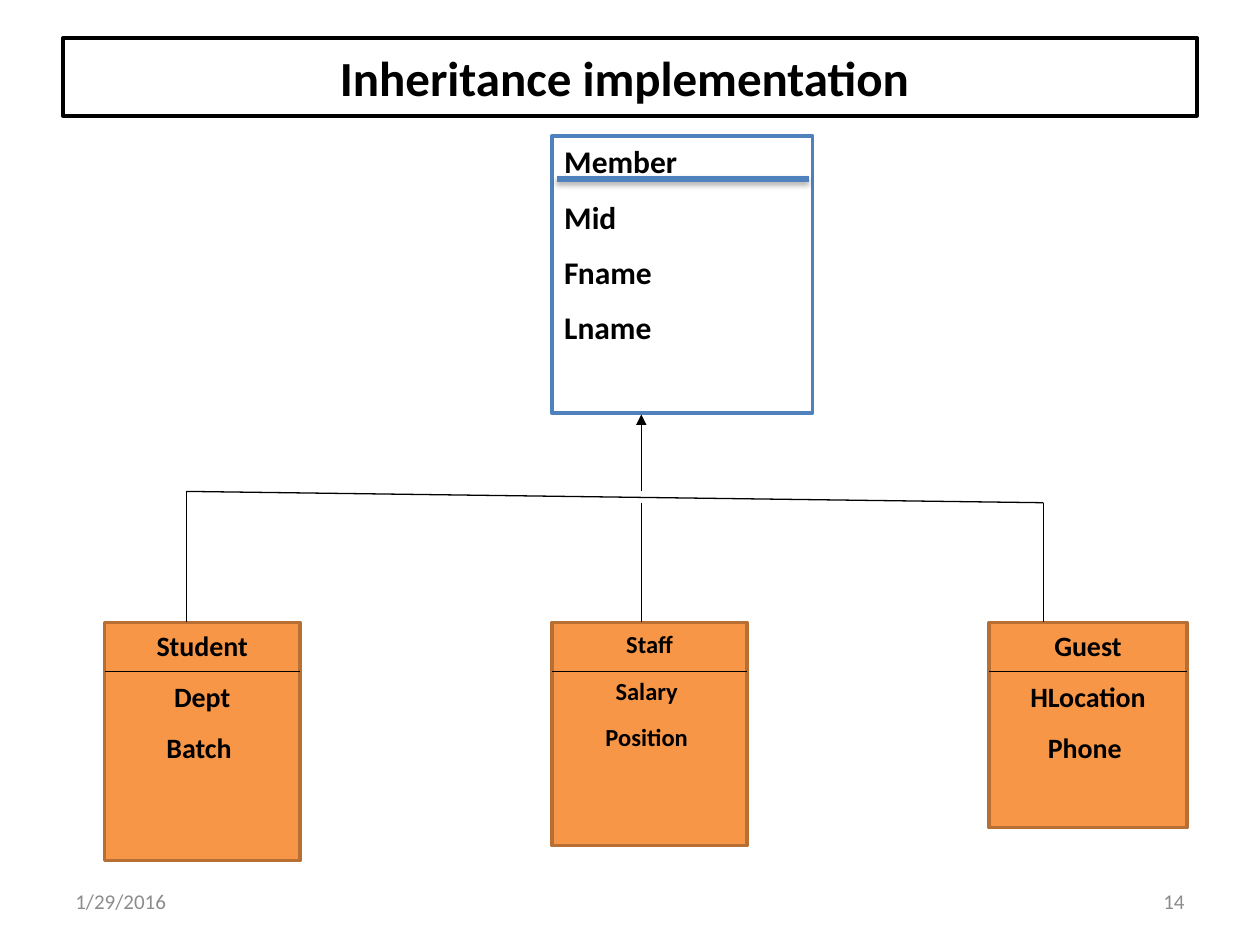
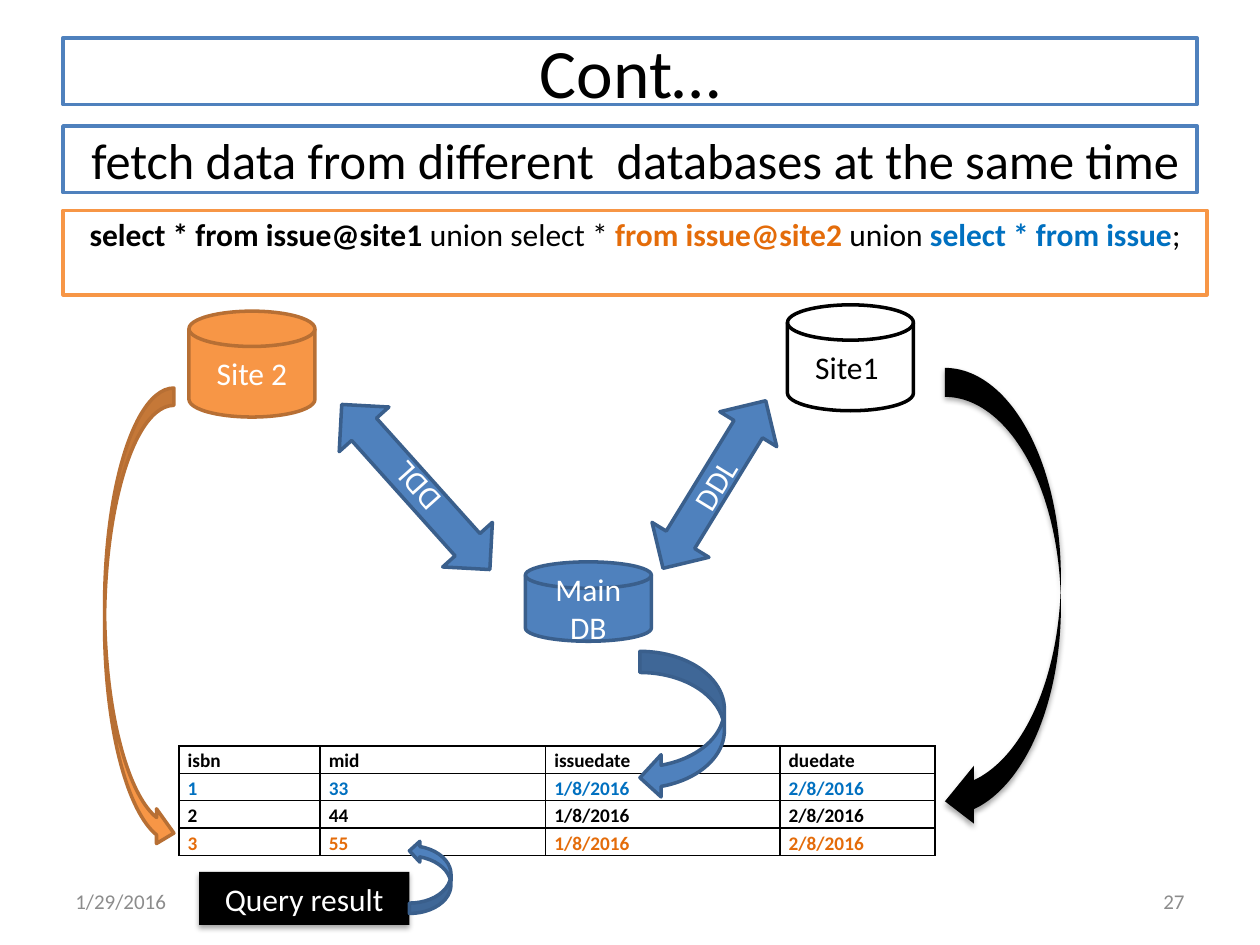
from dataclasses import dataclass

from lxml import etree
from pptx import Presentation
from pptx.dml.color import RGBColor
from pptx.enum.shapes import MSO_CONNECTOR, MSO_SHAPE
from pptx.enum.text import MSO_ANCHOR, PP_ALIGN
from pptx.oxml.ns import qn
from pptx.util import Inches, Pt

RECTANGLE = MSO_SHAPE.RECTANGLE
DISK = MSO_SHAPE.FLOWCHART_MAGNETIC_DISK
DOUBLE_ARROW = MSO_SHAPE.LEFT_RIGHT_ARROW
CURVED_ARROW = MSO_SHAPE.CURVED_RIGHT_ARROW
STRAIGHT = MSO_CONNECTOR.STRAIGHT
LEFT, CENTER, RIGHT = PP_ALIGN.LEFT, PP_ALIGN.CENTER, PP_ALIGN.RIGHT
TOP, MIDDLE = MSO_ANCHOR.TOP, MSO_ANCHOR.MIDDLE


@dataclass(frozen=True)
class Theme:
    font: str = "Calibri"
    black: str = "000000"
    white: str = "FFFFFF"
    grey: str = "8C8C8C"
    blue: str = "4F81BD"
    dark_blue: str = "3A5F8C"
    orange: str = "F79646"
    dark_orange: str = "B76F34"
    blue_text: str = "0070C0"
    orange_text: str = "E46C0A"
    title: float = 28
    big_title: float = 39.6
    subtitle: float = 28.8
    body: float = 18
    entity: float = 16
    small_entity: float = 14
    footer: float = 12
    cell: float = 11
    outline: float = 2
    thin: float = 0.75


THEME = Theme()


@dataclass(frozen=True)
class Place:
    left: float
    top: float
    width: float
    height: float

    def lengths(self) -> list:
        return [Inches(n) for n in (self.left, self.top, self.width, self.height)]


@dataclass(frozen=True)
class Look:
    fill: str
    line: str | None
    text: str


WHITE_BLACK = Look(THEME.white, THEME.black, THEME.black)
WHITE_BLUE = Look(THEME.white, THEME.blue, THEME.black)
WHITE_ORANGE = Look(THEME.white, THEME.orange, THEME.black)
ORANGE_ENTITY = Look(THEME.orange, THEME.dark_orange, THEME.black)
ORANGE_SOLID = Look(THEME.orange, THEME.dark_orange, THEME.white)
BLUE_SOLID = Look(THEME.blue, THEME.dark_blue, THEME.white)
BLACK_SOLID = Look(THEME.black, None, THEME.white)


@dataclass(frozen=True)
class Entity:
    place: Place
    lines: tuple
    size: float


@dataclass(frozen=True)
class Span:
    text: str
    color: str = THEME.black
    bold: bool = False


@dataclass(frozen=True)
class Node:
    kind: int
    place: Place
    text: str
    look: Look
    rotation: float = 0


@dataclass(frozen=True)
class Curve:
    place: Place
    look: Look
    flips: tuple = ()
    shadow: bool = False


def color(value: str) -> RGBColor:
    return RGBColor.from_string(value)


def style_font(font, size: float, value: str, bold: bool = False) -> None:
    font.name = THEME.font
    font.size = Pt(size)
    font.bold = bold
    font.color.rgb = color(value)


def set_effects(item, shadow: bool = False) -> None:
    properties = item.element.spPr
    for old in properties.findall(qn("a:effectLst")):
        properties.remove(old)
    effects = etree.SubElement(properties, qn("a:effectLst"))
    if shadow:
        outer = etree.SubElement(effects, qn("a:outerShdw"), blurRad=str(Pt(3.1)),
                                 dist=str(Pt(1.8)), dir="5400000", rotWithShape="0")
        shade = etree.SubElement(outer, qn("a:srgbClr"), val=THEME.black)
        etree.SubElement(shade, qn("a:alpha"), val="35000")


def write(box, lines: tuple, size: float, value: str, align=CENTER, anchor=MIDDLE,
          bold: bool = False, space_after: float = 0) -> None:
    frame = box.text_frame
    frame.word_wrap = True
    frame.vertical_anchor = anchor
    for index, line in enumerate(lines):
        para = frame.add_paragraph() if index else frame.paragraphs[0]
        para.text = line
        para.alignment = align
        para.space_after = Pt(space_after)
        style_font(para.font, size, value, bold)


def add_box(page, kind: int, place: Place, look: Look, shadow: bool = False):
    box = page.shapes.add_shape(kind, *place.lengths())
    box.fill.solid()
    box.fill.fore_color.rgb = color(look.fill)
    if look.line:
        box.line.color.rgb = color(look.line)
        box.line.width = Pt(THEME.outline)
    else:
        box.line.fill.background()
    set_effects(box, shadow)
    return box


def add_line(page, start: tuple, end: tuple, value: str = THEME.black,
             width: float = THEME.thin, arrow: bool = False, shadow: bool = False) -> None:
    line = page.shapes.add_connector(STRAIGHT, *[Inches(n) for n in start + end])
    line.line.color.rgb = color(value)
    line.line.width = Pt(width)
    if arrow:
        etree.SubElement(line.element.spPr.find(qn("a:ln")), qn("a:tailEnd"), type="triangle")
    set_effects(line, shadow)


def add_banner(page, text: str, top: float, height: float, size: float,
               look: Look = WHITE_BLUE, bold: bool = False) -> None:
    box = add_box(page, RECTANGLE, Place(0.5, top, 9, height), look)
    write(box, (text,), size, look.text, bold=bold)


def add_footer(page, number: str) -> None:
    for left, text, align in ((0.5, "1/29/2016", LEFT), (7.17, number, RIGHT)):
        box = page.shapes.add_textbox(*Place(left, 6.95, 2.33, 0.4).lengths())
        write(box, (text,), THEME.footer, THEME.grey, align)


def add_entity(page, entity: Entity, look: Look, align=CENTER) -> None:
    box = add_box(page, RECTANGLE, entity.place, look)
    write(box, entity.lines, entity.size, look.text, align, TOP, True, 10)


def add_node(page, node: Node) -> None:
    box = add_box(page, node.kind, node.place, node.look)
    box.rotation = node.rotation
    write(box, (node.text,), THEME.body, node.look.text)


def add_curve(page, curve: Curve) -> None:
    arrow = add_box(page, CURVED_ARROW, curve.place, curve.look, curve.shadow)
    for flip in curve.flips:
        arrow.element.spPr.xfrm.set(flip, "1")


def add_query(page, place: Place, spans: tuple) -> None:
    box = add_box(page, RECTANGLE, place, WHITE_ORANGE)
    frame = box.text_frame
    frame.word_wrap = True
    frame.vertical_anchor = TOP
    frame.margin_top = Inches(0.04)
    para = frame.paragraphs[0]
    para.alignment = CENTER
    for span in spans:
        run = para.add_run()
        run.text = span.text
        style_font(run.font, THEME.body, span.color, span.bold)


def add_borders(cell) -> None:
    properties = cell._tc.get_or_add_tcPr()
    for index, side in enumerate(("a:lnL", "a:lnR", "a:lnT", "a:lnB")):
        border = etree.Element(qn(side), w=str(Pt(1)))
        fill = etree.SubElement(border, qn("a:solidFill"))
        etree.SubElement(fill, qn("a:srgbClr"), val=THEME.black)
        properties.insert(index, border)


def add_result_table(page, place: Place, widths: tuple, rows: tuple, colors: tuple) -> None:
    table = page.shapes.add_table(len(rows), len(widths), *place.lengths()).table
    table.first_row = table.horz_banding = False
    for column, width in zip(table.columns, widths):
        column.width = Inches(width)
    for row, texts, value in zip(table.rows, rows, colors):
        row.height = Inches(place.height / len(rows))
        for cell, text in zip(row.cells, texts):
            cell.fill.background()
            cell.margin_left = cell.margin_right = Inches(0.07)
            cell.margin_top = cell.margin_bottom = 0
            para = cell.text_frame.paragraphs[0]
            para.text = text
            para.line_spacing = 1.15
            style_font(para.font, THEME.cell, value, True)
            add_borders(cell)


def build_inheritance(page) -> None:
    add_banner(page, "Inheritance implementation ", 0.3, 0.62, THEME.title, WHITE_BLACK, True)
    add_footer(page, "14")
    member = Entity(Place(4.38, 1.08, 2.07, 2.2),
                    ("Member ", "Mid", "Fname ", "Lname "), THEME.body)
    add_entity(page, member, WHITE_BLUE, LEFT)
    add_line(page, (4.42, 1.42), (6.42, 1.42), THEME.blue, 3, shadow=True)

    child_top, divider = 4.94, 5.33
    children = (
        Entity(Place(4.38, child_top, 1.55, 1.77),
               ("Staff", "Salary ", "Position "), THEME.small_entity),
        Entity(Place(7.85, child_top, 1.57, 1.63),
               ("Guest", "HLocation", "Phone "), THEME.entity),
        Entity(Place(0.83, child_top, 1.55, 1.89),
               ("Student", "Dept", "Batch "), THEME.entity),
    )
    for child in children:
        add_entity(page, child, ORANGE_ENTITY)
        left = child.place.left
        add_line(page, (left, divider), (left + child.place.width, divider))

    student, staff, guest = 1.48, 5.09, 8.28
    high, low = 3.9, 3.99
    add_line(page, (student, high), (guest, low))
    for x, top in ((student, high), (staff, low), (guest, low)):
        add_line(page, (x, top), (x, child_top))
    add_line(page, (staff, high), (staff, 3.29), arrow=True)


def build_union(page) -> None:
    add_banner(page, "Cont…", 0.3, 0.53, THEME.big_title)
    add_result_table(
        page, Place(1.42, 5.92, 6, 0.87), (1.12, 1.79, 1.86, 1.23),
        (("isbn", "mid", "issuedate", "duedate"),
         *((isbn, mid, "1/8/2016", "2/8/2016")
           for isbn, mid in (("1", "33"), ("2", "44"), ("3", "55")))),
        (THEME.black, THEME.blue_text, THEME.black, THEME.orange_text))
    add_footer(page, "27")
    for node in (
        Node(DISK, Place(1.5, 2.47, 1, 0.84), "Site 2", ORANGE_SOLID),
        Node(DISK, Place(4.17, 4.46, 1, 0.63), "Main DB", BLUE_SOLID),
        Node(DISK, Place(6.25, 2.42, 1, 0.84), "Site1 ", WHITE_BLACK),
        Node(DOUBLE_ARROW, Place(4.89, 3.58, 1.56, 0.53), "DDL", BLUE_SOLID, 301.5),
        Node(DOUBLE_ARROW, Place(2.42, 3.6, 1.76, 0.53), "DDL", BLUE_SOLID, 228.1),
    ):
        add_node(page, node)
    add_query(page, Place(0.5, 1.67, 9.08, 0.67), (
        Span(" select * from issue@site1 ", bold=True),
        Span("union select * "),
        Span("from issue@site2 ", THEME.orange_text, True),
        Span("union "),
        Span("select * from issue", THEME.blue_text, True),
        Span("; "),
    ))
    add_banner(page, " fetch data from different  databases at the same time",
               1, 0.53, THEME.subtitle)
    label = add_box(page, RECTANGLE, Place(1.58, 6.92, 1.67, 0.42), BLACK_SOLID, True)
    write(label, ("Query result",), THEME.body, THEME.white)
    for curve in (
        Curve(Place(0.83, 3.08, 0.55, 3.67), ORANGE_SOLID),
        Curve(Place(7.5, 2.92, 0.92, 3.67), BLACK_SOLID, ("flipH",), True),
        Curve(Place(5.08, 5.17, 0.67, 1.17), BLUE_SOLID, ("flipH",)),
        Curve(Place(3.25, 6.67, 0.33, 0.58), BLUE_SOLID, ("flipH", "flipV")),
    ):
        add_curve(page, curve)


deck = Presentation()
deck.slide_width, deck.slide_height = Inches(10), Inches(7.5)
for build in (build_inheritance, build_union):
    build(deck.slides.add_slide(deck.slide_layouts[6]))
deck.save("out.pptx")
